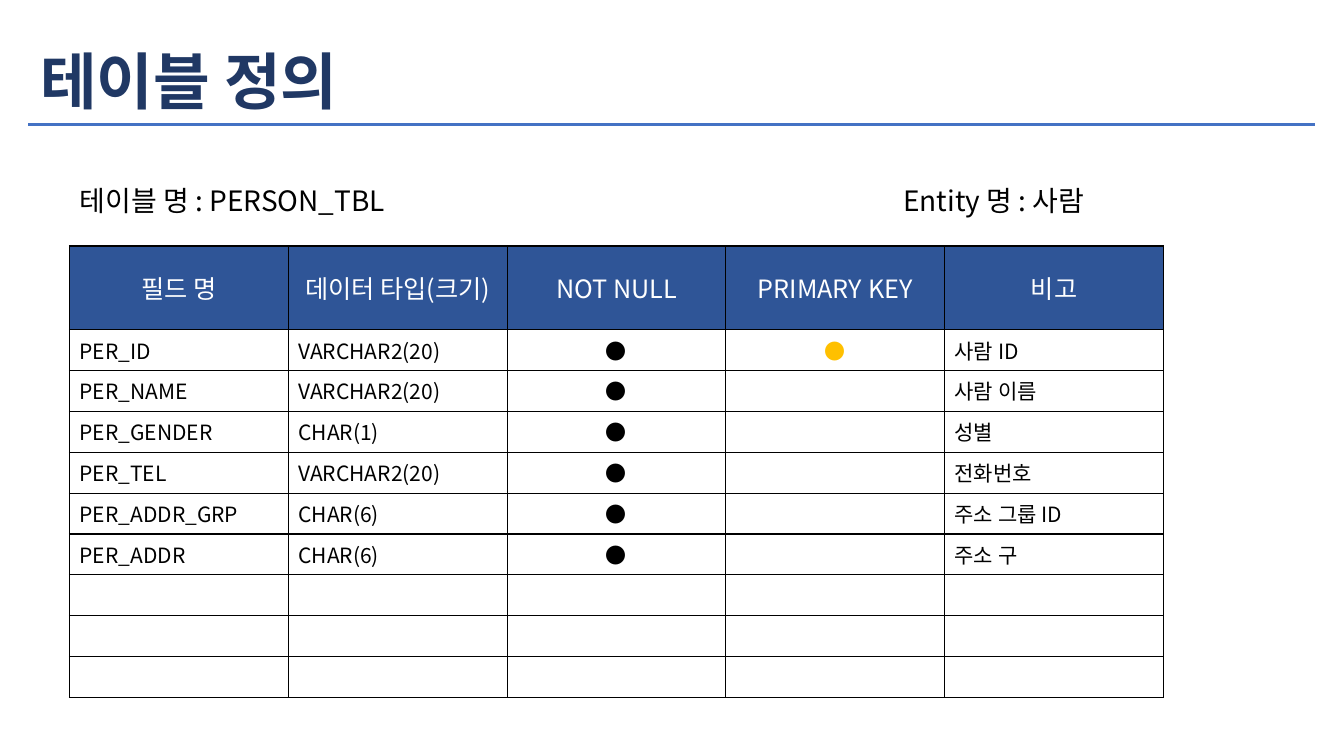
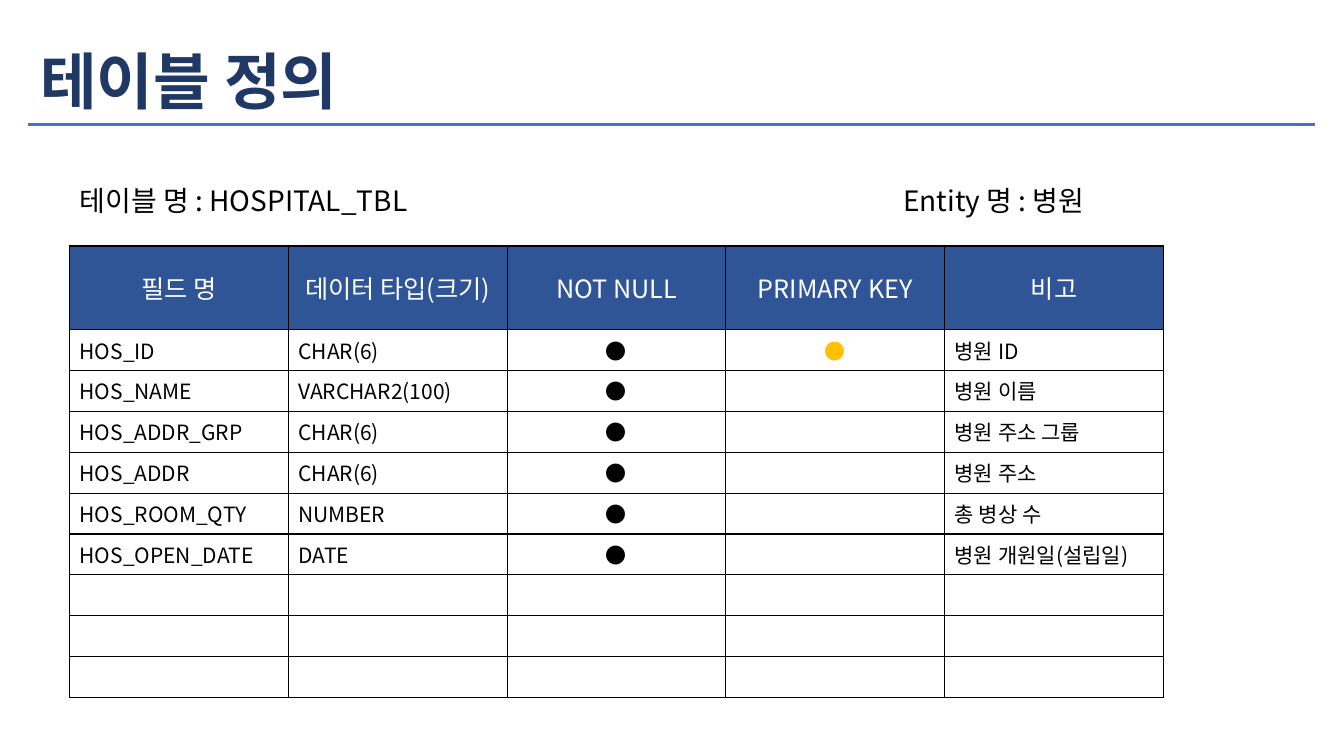
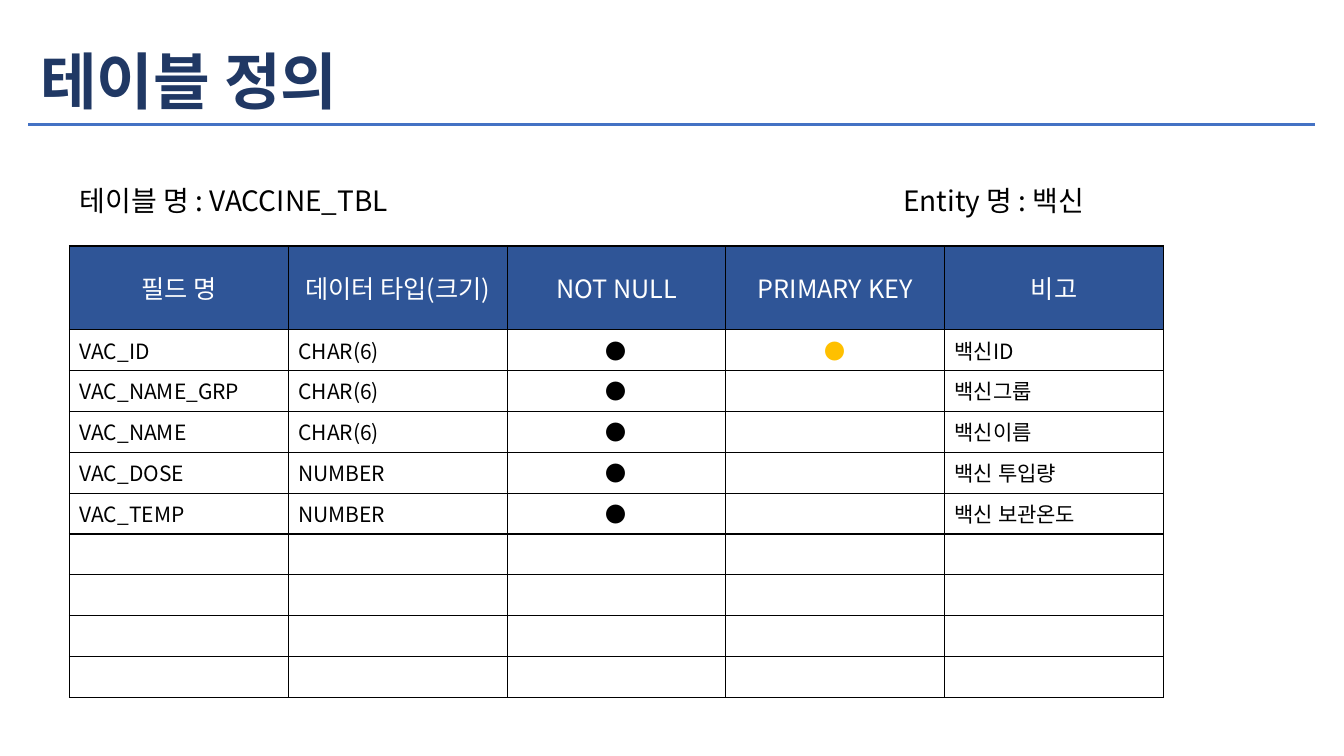
"""Build three slides that define the tables of a vaccination database."""
from dataclasses import dataclass

from lxml.etree import SubElement
from pptx import Presentation
from pptx.dml.color import RGBColor
from pptx.enum.shapes import MSO_SHAPE as Shape
from pptx.enum.text import MSO_ANCHOR as Anchor, PP_ALIGN as Align
from pptx.oxml.ns import qn
from pptx.util import Inches, Pt


@dataclass(frozen=True)
class Theme:
    """Colours, font and type sizes shared by all slides."""
    font: str = "Noto Sans CJK KR"
    title: str = "203864"
    rule: str = "4472C4"
    header: str = "2F5597"
    key: str = "FFC000"
    text: str = "000000"
    paper: str = "FFFFFF"
    title_size: int = 44
    caption_size: int = 20
    header_size: int = 18
    body_size: int = 15


THEME = Theme()
DOT = "●"
HEADERS = ["필드 명", "데이터 타입(크기)", "NOT NULL", "PRIMARY KEY", "비고"]
CENTRED_COLUMNS = (2, 3)
KEY_COLUMN = 3
BODY_ROWS = 9
LEFT = 0.69
COLUMN_WIDTH = 2.17
TABLE_HEIGHT = 4.48
HEADER_HEIGHT = 0.83
ROW_HEIGHT = (TABLE_HEIGHT - HEADER_HEIGHT) / BODY_ROWS

DEFINITIONS = [
    ("PERSON_TBL", "사람", [
        ("PER_ID", "VARCHAR2(20)", "사람 ID"),
        ("PER_NAME", "VARCHAR2(20)", "사람 이름"),
        ("PER_GENDER", "CHAR(1)", "성별"),
        ("PER_TEL", "VARCHAR2(20)", "전화번호"),
        ("PER_ADDR_GRP", "CHAR(6)", "주소 그룹 ID"),
        ("PER_ADDR", "CHAR(6)", "주소 구"),
    ]),
    ("HOSPITAL_TBL", "병원", [
        ("HOS_ID", "CHAR(6)", "병원 ID"),
        ("HOS_NAME", "VARCHAR2(100)", "병원 이름"),
        ("HOS_ADDR_GRP", "CHAR(6)", "병원 주소 그룹"),
        ("HOS_ADDR", "CHAR(6)", "병원 주소"),
        ("HOS_ROOM_QTY", "NUMBER", "총 병상 수"),
        ("HOS_OPEN_DATE", "DATE", "병원 개원일(설립일)"),
    ]),
    ("VACCINE_TBL", "백신", [
        ("VAC_ID", "CHAR(6)", "백신ID"),
        ("VAC_NAME_GRP", "CHAR(6)", "백신그룹"),
        ("VAC_NAME", "CHAR(6)", "백신이름"),
        ("VAC_DOSE", "NUMBER", "백신 투입량"),
        ("VAC_TEMP", "NUMBER", "백신 보관온도"),
    ]),
]


def color(value):
    """Turn a hex string into a colour."""
    return RGBColor.from_string(value)


def format_runs(paragraph, size, ink, bold=False):
    """Give every run of a paragraph the theme font, a size and a colour."""
    for run in paragraph.runs:
        font = run.font
        font.name = THEME.font
        font.size = Pt(size)
        font.bold = bold
        font.color.rgb = color(ink)
        SubElement(font._element, qn("a:ea"), typeface=THEME.font)


def add_text(slide, text, left, top, width, height, size, ink=THEME.text, bold=False):
    """Add one line of text, centred vertically in its box."""
    box = slide.shapes.add_textbox(Inches(left), Inches(top), Inches(width), Inches(height))
    text_frame = box.text_frame
    text_frame.word_wrap = True
    text_frame.vertical_anchor = Anchor.MIDDLE
    text_frame.text = text
    paragraph = text_frame.paragraphs[0]
    paragraph.line_spacing = 0.9
    format_runs(paragraph, size, ink, bold)


def add_title(slide, text):
    """Add the slide title and the rule below it."""
    add_text(slide, text, 0.3, 0.32, 11.39, 1.04, THEME.title_size, THEME.title, True)
    rule = slide.shapes.add_shape(
        Shape.RECTANGLE, Inches(0.27), Inches(1.21), Inches(12.78), Inches(0.05))
    rule.shadow.inherit = False
    rule.fill.solid()
    rule.fill.fore_color.rgb = color(THEME.rule)
    rule.line.color.rgb = color(THEME.paper)
    rule.line.width = Pt(1)


def add_borders(cell):
    """Draw a thin line on all four sides of a cell."""
    properties = cell._tc.get_or_add_tcPr()
    for side in ("a:lnL", "a:lnR", "a:lnT", "a:lnB"):
        line = SubElement(properties, qn(side), w=str(Pt(1)))
        fill = SubElement(line, qn("a:solidFill"))
        SubElement(fill, qn("a:srgbClr"), val=THEME.text)


def fill_cell(cell, text, size, ink, centred):
    """Write a bordered cell, keeping the type size when it is empty."""
    add_borders(cell)
    cell.text = text
    paragraph = cell.text_frame.paragraphs[0]
    if centred:
        paragraph.alignment = Align.CENTER
    format_runs(paragraph, size, ink)
    if not text:
        paragraph._p.get_or_add_endParaRPr().set("sz", str(size * 100))


def body_rows(fields):
    """Return the body texts; the first field is the primary key."""
    rows = [(name, kind, DOT, "" if index else DOT, note)
            for index, (name, kind, note) in enumerate(fields)]
    blank = ("",) * len(HEADERS)
    return rows + [blank] * (BODY_ROWS - len(rows))


def add_field_table(slide, fields):
    """Add the table that lists the fields."""
    table = slide.shapes.add_table(
        BODY_ROWS + 1, len(HEADERS), Inches(LEFT), Inches(2.44),
        Inches(COLUMN_WIDTH * len(HEADERS)), Inches(TABLE_HEIGHT)).table
    table.first_row = table.horz_banding = False
    for column in table.columns:
        column.width = Inches(COLUMN_WIDTH)
    for index, row in enumerate(table.rows):
        row.height = Inches(ROW_HEIGHT if index else HEADER_HEIGHT)

    for column, text in enumerate(HEADERS):
        cell = table.cell(0, column)
        fill_cell(cell, text, THEME.header_size, THEME.paper, True)
        cell.vertical_anchor = Anchor.MIDDLE
        cell.fill.solid()
        cell.fill.fore_color.rgb = color(THEME.header)

    for row, texts in enumerate(body_rows(fields), start=1):
        for column, text in enumerate(texts):
            cell = table.cell(row, column)
            ink = THEME.key if column == KEY_COLUMN else THEME.text
            fill_cell(cell, text, THEME.body_size, ink, column in CENTRED_COLUMNS)
            cell.fill.background()


def add_definition_slide(presentation, table_name, entity, fields):
    """Add a slide that defines one table."""
    slide = presentation.slides.add_slide(presentation.slide_layouts[6])
    add_field_table(slide, fields)
    captions = ((LEFT, f"테이블 명 : {table_name}"), (8.86, f"Entity 명 : {entity}"))
    for left, caption in captions:
        add_text(slide, caption, left, 1.75, 4.48, 0.51, THEME.caption_size)
    add_title(slide, "테이블 정의")


def main():
    """Build and save the presentation."""
    presentation = Presentation()
    presentation.slide_width = Inches(13.33)
    presentation.slide_height = Inches(7.5)
    for table_name, entity, fields in DEFINITIONS:
        add_definition_slide(presentation, table_name, entity, fields)
    presentation.save("out.pptx")


main()
